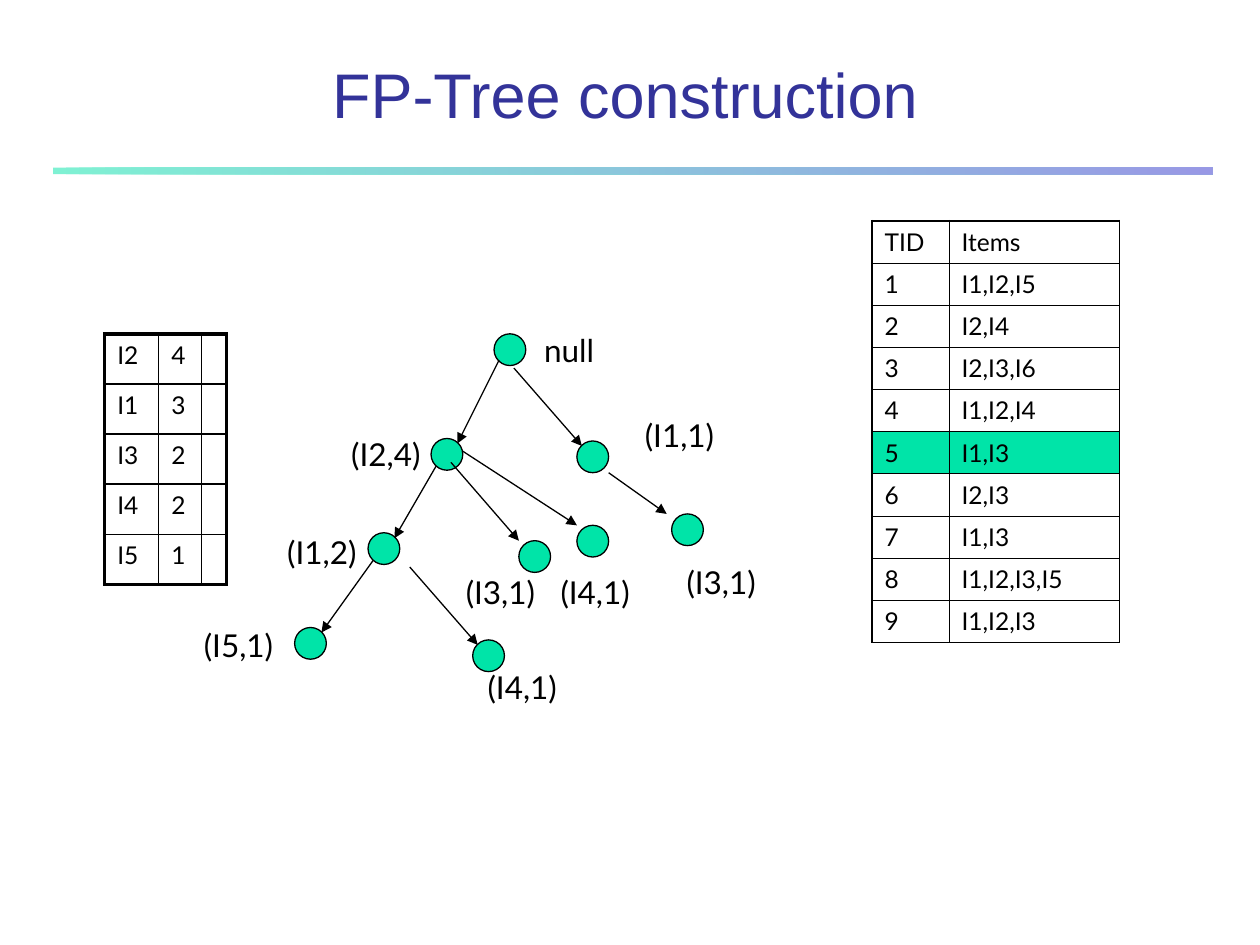
from lxml import etree
from pptx import Presentation
from pptx.dml.color import RGBColor
from pptx.enum import shapes, text
from pptx.oxml import ns
from pptx.util import Cm, Pt

HUES = {"ink": "000000", "node": "00E4A8", "title": "333399", "bar": "3333CC"}
RGB = {name: RGBColor.from_string(hue) for name, hue in HUES.items()}
BODY = {"name": "Lato", "size": Pt(14)}
LABEL = {"name": "Lato", "size": Pt(18)}
HEAD = {"name": "Arial", "size": Pt(36), "bold": False}


def write(frame, words, form, hue="ink"):
    para = frame.paragraphs[0]
    run = para.add_run()
    run.text = words
    for key, value in form.items():
        setattr(run.font, key, value)
    run.font.color.rgb = RGB[hue]
    return para


def grid(rows, left, top, widths, height, inner, outer, mark=None):
    """Add a ruled table with a heavier outline; row number mark is filled."""
    table = slide.shapes.add_table(
        len(rows), len(widths), Cm(left), Cm(top),
        Cm(sum(widths)), Cm(height * len(rows))).table
    table.first_row = table.horz_banding = False
    for col, width in zip(table.columns, widths):
        col.width = Cm(width)
    for r, row in enumerate(rows):
        table.rows[r].height = Cm(height)
        for c, words in enumerate(row):
            cell = table.cell(r, c)
            if not words:
                for side in ("left", "right", "top", "bottom"):
                    setattr(cell, "margin_" + side, 0)
            write(cell.text_frame, words, BODY)
            props = cell._tc.get_or_add_tcPr()
            edges = {"lnL": c == 0, "lnR": c == len(widths) - 1,
                     "lnT": r == 0, "lnB": r == len(rows) - 1}
            for tag, edge in edges.items():
                line = etree.SubElement(props, ns.qn("a:" + tag),
                                        w=str(Pt(outer if edge else inner)))
                fill = etree.SubElement(line, ns.qn("a:solidFill"))
                etree.SubElement(fill, ns.qn("a:srgbClr"), val=HUES["ink"])
            if r == mark:
                cell.fill.solid()
                cell.fill.fore_color.rgb = RGB["node"]
            else:
                cell.fill.background()


deck = Presentation()
deck.slide_width, deck.slide_height = Cm(25.4), Cm(19.05)
slide = deck.slides.add_slide(deck.slide_layouts[5])

# Title and the rule under it
title = slide.shapes.title
title.left, title.top, title.width, title.height = Cm(1.07), Cm(1.07), Cm(23.06), Cm(1.7)
title.text_frame.auto_size = text.MSO_AUTO_SIZE.NONE
title.text_frame.vertical_anchor = text.MSO_ANCHOR.BOTTOM
write(title.text_frame, "FP-Tree construction", HEAD, "title").alignment = text.PP_ALIGN.CENTER

bar = slide.shapes.add_shape(shapes.MSO_SHAPE.RECTANGLE, Cm(1.07), Cm(3.38), Cm(23.37), Cm(0.13))
bar.shadow.inherit = False
bar.line.fill.background()
bar.fill.gradient()
bar.fill.gradient_angle = 0
for stop, hue in zip(bar.fill.gradient_stops, ("node", "bar")):
    stop.color.rgb = RGB[hue]
for color in bar._element.spPr.iter(ns.qn("a:srgbClr")):
    etree.SubElement(color, ns.qn("a:alpha"), val="50000")

# Item counts and transactions
counts = [("I2", "4", ""), ("I1", "3", ""), ("I3", "2", ""), ("I4", "2", ""), ("I5", "1", "")]
grid(counts, 2.11, 6.73, (1.09, 0.86, 0.51), 1.01, 1, 2.25)

baskets = ["I1,I2,I5", "I2,I4", "I2,I3,I6", "I1,I2,I4", "I1,I3",
           "I2,I3", "I1,I3", "I1,I2,I3,I5", "I1,I2,I3"]
rows = [("TID", "Items")] + [(str(n), items) for n, items in enumerate(baskets, 1)]
grid(rows, 17.58, 4.45, (1.55, 3.44), 0.85, 0.45, 1.08, mark=5)

# Tree nodes: label, left and top of the circle, left and top of the label
nodes = [
    ("null", 9.96, 6.73, 10.72, 6.55),
    ("(I2,4)", 8.69, 8.84, 6.83, 8.64),
    ("(I1,2)", 7.42, 10.74, 5.54, 10.62),
    ("(I5,1)", 5.94, 12.65, 3.86, 12.5),
    ("(I3,1)", 10.46, 10.9, 9.14, 11.43),
    ("(I4,1)", 11.63, 10.59, 11.05, 11.43),
    ("(I1,1)", 11.63, 8.89, 12.75, 8.26),
    ("(I3,1)", 13.54, 10.36, 13.59, 11.23),
    ("(I4,1)", 9.53, 12.9, 9.58, 13.34),
]
for words, x, y, left, top in nodes:
    dot = slide.shapes.add_shape(shapes.MSO_SHAPE.OVAL, Cm(x), Cm(y), Cm(0.64), Cm(0.64))
    dot.shadow.inherit = False
    dot.fill.solid()
    dot.fill.fore_color.rgb = RGB["node"]
    dot.line.color.rgb = RGB["ink"]
    dot.line.width = Pt(0.75)
    width = 1.63 if words == "null" else 2.01
    box = slide.shapes.add_textbox(Cm(left), Cm(top), Cm(width), Cm(1.02))
    box.text_frame.word_wrap = False
    write(box.text_frame, words, LABEL)

# Branches, from parent to child
branches = [
    (10.06, 7.26, 9.22, 8.94), (10.36, 7.42, 11.73, 8.99),
    (8.79, 9.4, 7.95, 10.85), (9.09, 9.32, 10.46, 10.9),
    (9.32, 9.09, 11.63, 10.59), (12.27, 9.53, 13.44, 10.36),
    (7.52, 11.3, 6.48, 12.75), (8.26, 11.43, 9.63, 13),
]
for ends in branches:
    arrow = slide.shapes.add_connector(shapes.MSO_CONNECTOR.STRAIGHT, *map(Cm, ends))
    arrow.line.color.rgb = RGB["ink"]
    arrow.line.width = Pt(0.75)
    etree.SubElement(arrow.line._get_or_add_ln(), ns.qn("a:tailEnd"), type="triangle")
    etree.SubElement(arrow._element.spPr, ns.qn("a:effectLst"))

deck.save("out.pptx")
